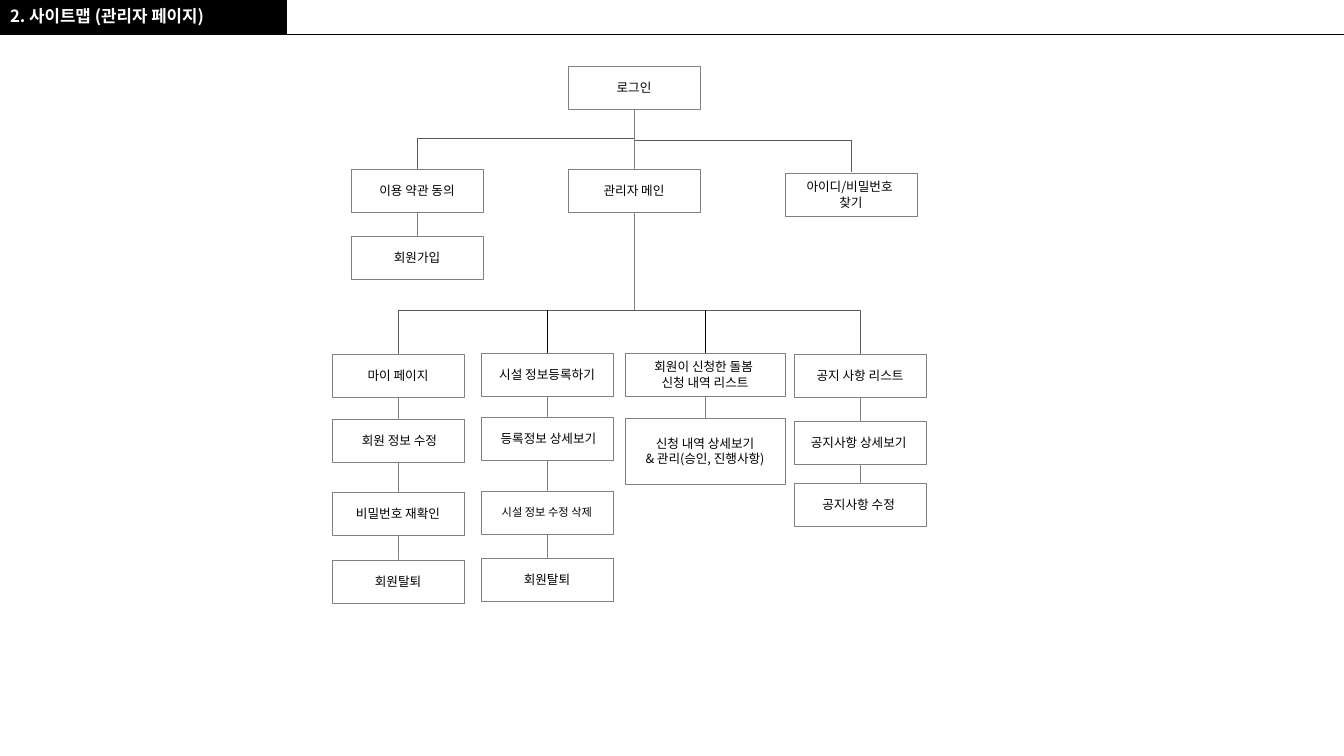
from dataclasses import dataclass
from itertools import pairwise
from lxml.etree import SubElement
from pptx import Presentation
from pptx.dml.color import RGBColor
from pptx.enum.shapes import MSO_CONNECTOR, MSO_SHAPE
from pptx.enum.text import MSO_ANCHOR, MSO_AUTO_SIZE, PP_ALIGN
from pptx.oxml.ns import qn
from pptx.util import Pt

SCALE = 914400 / 100.8


@dataclass(frozen=True)
class Theme:
    face: str = "Noto Sans CJK KR"
    black: str = "000000"
    white: str = "FFFFFF"
    gray: str = "808080"
    dark: str = "595959"
    head: int = 12
    body: int = 9
    small: int = 8
    edge: float = 0.25
    rule: float = 0.5


LOOK = Theme()
WIDE, HIGH = 132, 43
TRUNK, FORK = 634, 310

CHAINS = [
    (568, WIDE, [(66, "로그인"), (169, "관리자 메인")]),
    (351, WIDE, [(169, "이용 약관 동의"), (236, "회원가입")]),
    (785, WIDE, [(173, "아이디/비밀번호 \n찾기")]),
    (332, WIDE, [(354, "마이 페이지"), (419, " 회원 정보 수정"),
                 (492, "비밀번호 재확인"), (560, "회원탈퇴")]),
    (481, WIDE, [(353, "시설 정보등록하기"), (417, " 등록정보 상세보기"),
                 (491, "시설 정보 수정 삭제", HIGH, LOOK.small), (558, "회원탈퇴")]),
    (625, 160, [(353, "회원이 신청한 돌봄 \n신청 내역 리스트"),
                (418, "신청 내역 상세보기\n& 관리(승인, 진행사항)", 66)]),
    (794, WIDE, [(354, "공지 사항 리스트"), (421, "공지사항 상세보기 "),
                 (483, "공지사항 수정 ")]),
]
FORKS = [(108, 851, 172), (108, 417, 169), (267, 860, 354), (267, 398, 354)]


def px(num):
    return round(num * SCALE)


def tone(code):
    return RGBColor.from_string(code)


def put(item, vals):
    for key, val in vals.items():
        setattr(item, key, val)


def write(frame, text, size, code, bold=False, **form):
    frame.text = text
    for para in frame.paragraphs:
        put(para, form)
        for run in para.runs:
            put(run.font, {"name": LOOK.face, "size": Pt(size), "bold": bold})
            run.font.color.rgb = tone(code)
            SubElement(run.font._element, qn("a:ea"), typeface=LOOK.face)


def block(slide, left, top, wide, high, fill, edge=None):
    shape = slide.shapes.add_shape(
        MSO_SHAPE.RECTANGLE, px(left), px(top), px(wide), px(high))
    shape.shadow.inherit = False
    shape.fill.solid()
    shape.fill.fore_color.rgb = tone(fill)
    if edge:
        shape.line.color.rgb = tone(edge)
        shape.line.width = Pt(LOOK.edge)
    else:
        shape.line.fill.background()
    return shape


def node(slide, left, wide, top, text, high=HIGH, size=LOOK.body):
    shape = block(slide, left, top, wide, high, LOOK.white, LOOK.gray)
    shape.text_frame.vertical_anchor = MSO_ANCHOR.MIDDLE
    write(shape.text_frame, text, size, LOOK.black, alignment=PP_ALIGN.CENTER)


def link(slide, start, end, code, kind=MSO_CONNECTOR.STRAIGHT):
    line = slide.shapes.add_connector(kind, *map(px, start + end))
    line.line.color.rgb = tone(code)
    line.line.width = Pt(LOOK.rule)
    SubElement(line.element.spPr, qn("a:effectLst"))
    return line


def elbow(slide, top, goal, end):
    midx, midy = (TRUNK + goal) / 2, (top + end) / 2
    drop, span = (end - top) / 2, abs(goal - TRUNK) / 2
    side = 1 if goal > TRUNK else -1
    line = link(slide, (midx + side * drop, midy - span),
                (midx - side * drop, midy + span), LOOK.dark, MSO_CONNECTOR.ELBOW)
    turn = 270 if side > 0 else 90
    line.element.spPr.find(qn("a:xfrm")).set("rot", str(turn * 60000))


def chain(slide, left, wide, rows):
    mid = left + wide // 2
    for above, below in pairwise(rows):
        link(slide, (mid, above[0] + HIGH), (mid, below[0]), LOOK.gray)
    for row in rows:
        node(slide, left, wide, *row)


def header(slide):
    block(slide, 0, 0, 287, 35, LOOK.black)
    link(slide, (278, 34), (1344, 34), LOOK.black)
    title = slide.shapes.title
    put(title, {"left": 0, "top": px(3), "width": px(287), "height": px(32)})
    put(title.text_frame, {
        "word_wrap": True, "auto_size": MSO_AUTO_SIZE.NONE,
        "vertical_anchor": MSO_ANCHOR.MIDDLE, "margin_left": px(10),
        "margin_top": 0, "margin_bottom": px(4)})
    write(title.text_frame, "2. 사이트맵 (관리자 페이지)", LOOK.head, LOOK.white, True,
          alignment=PP_ALIGN.LEFT, line_spacing=0.9)
    slide.shapes.element.append(title.element)


def main():
    deck = Presentation()
    put(deck, {"slide_width": px(1344), "slide_height": px(756)})
    slide = deck.slides.add_slide(deck.slide_layouts[5])
    header(slide)
    for fork in FORKS:
        elbow(slide, *fork)
    link(slide, (TRUNK, 212), (TRUNK, FORK), LOOK.gray)
    for mid in (547, 705):
        link(slide, (mid, FORK), (mid, 353), LOOK.black)
    for item in CHAINS:
        chain(slide, *item)
    deck.save("out.pptx")


main()
